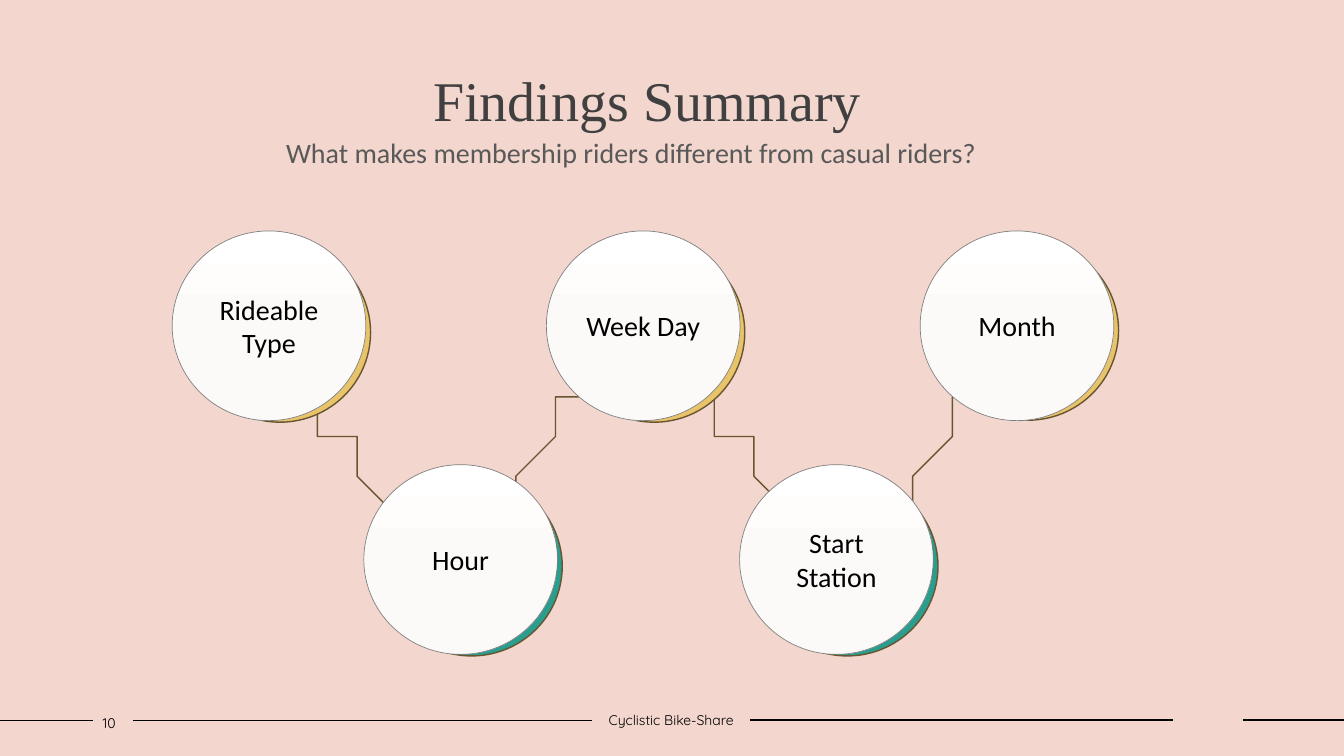
"""Build the findings summary slide: five linked circles under a title."""
from lxml import etree
from pptx import Presentation
from pptx.dml.color import RGBColor
from pptx.enum.shapes import MSO_CONNECTOR, MSO_SHAPE
from pptx.enum.text import MSO_ANCHOR, MSO_AUTO_SIZE, PP_ALIGN
from pptx.oxml.ns import qn
from pptx.util import Cm, Pt

OVAL = MSO_SHAPE.OVAL
STRAIGHT = MSO_CONNECTOR.STRAIGHT
TOP, MIDDLE = MSO_ANCHOR.TOP, MSO_ANCHOR.MIDDLE
NO_AUTOFIT = MSO_AUTO_SIZE.NONE
LEFT, CENTER = PP_ALIGN.LEFT, PP_ALIGN.CENTER

GOLD, TEAL, BROWN = "E9C369", "2A9D8F", "66552E"
CIRCLES = [
    ("Rideable Type", 4.34, 5.82, 0.3, GOLD),
    ("Hour", 9.17, 11.71, 0.3, TEAL),
    ("Week Day", 13.77, 5.82, 0.3, GOLD),
    ("Start Station", 18.64, 11.71, 0.3, TEAL),
    ("Month", 23.19, 5.82, 0.25, GOLD),
]
CURVE_START = (7.06, 8.84)
CURVES = [
    ((8.56, 11.48), (10.06, 14.12), (11.58, 14.02)),
    ((13.08, 13.89), (14.53, 8.2), (16.1, 8.18)),
    ((17.68, 8.18), (19.41, 13.92), (21.01, 13.92)),
    ((22.63, 13.92), (24.94, 9.14), (25.73, 8.18)),
]
FOOTER_LINES = [(0, 2.34, 18.16), (3.35, 14.91, 18.16),
                (18.9, 29.57, 18.14), (31.32, 33.87, 18.14)]
TEXTS = [
    ("What makes membership riders different from casual riders?",
     6.96, 3.28, 20.29, 1.12, 20, "Calibri", "595959"),
    ("10", 2.34, 17.88, 1.37, 0.69, 10, "Quicksand", "000000"),
    ("Cyclistic Bike-Share", 15.09, 17.81, 4.57, 0.69, 10, "Quicksand", "000000"),
]
STEPS = 24


def rgb(value):
    return RGBColor.from_string(value)


def write(tf, text, size, font, color, align, anchor):
    tf.word_wrap = True
    tf.auto_size = NO_AUTOFIT
    tf.vertical_anchor = anchor
    p = tf.paragraphs[0]
    p.alignment = align
    r = p.add_run()
    r.text = text
    r.font.size = Pt(size)
    r.font.name = font
    r.font.color.rgb = rgb(color)


prs = Presentation()
prs.slide_width, prs.slide_height = Cm(33.87), Cm(19.05)
s = prs.slides.add_slide(prs.slide_layouts[5])
s.background.fill.solid()
s.background.fill.fore_color.rgb = rgb("F3D6CD")

for x1, x2, y in FOOTER_LINES:
    line = s.shapes.add_connector(STRAIGHT, Cm(x1), Cm(y), Cm(x2), Cm(y))
    line.line.color.rgb = rgb("000000")
    line.line.width = Pt(1)
    etree.SubElement(line._element.spPr, qn("a:effectLst"))

points = []
start = CURVE_START
for c1, c2, end in CURVES:
    for step in range(1, STEPS + 1):
        t = step / STEPS
        u = 1 - t
        points.append(tuple(
            u**3 * a + 3 * u * u * t * b + 3 * u * t * t * c + t**3 * d
            for a, b, c, d in zip(start, c1, c2, end)))
    start = end
builder = s.shapes.build_freeform(*CURVE_START, scale=Cm(1))
builder.add_line_segments(points, close=False)
wave = builder.convert_to_shape()
wave.shadow.inherit = False
wave.fill.background()
wave.line.color.rgb = rgb(BROWN)
wave.line.width = Pt(1)

for _, x, y, drop, color in CIRCLES:
    sp = s.shapes.add_shape(OVAL, Cm(x + 0.43), Cm(y + drop), Cm(4.57), Cm(4.52))
    sp.shadow.inherit = False
    sp.fill.solid()
    sp.fill.fore_color.rgb = rgb(color)
    sp.line.color.rgb = rgb(BROWN)
    sp.line.width = Pt(1)

for label, x, y, _, _ in CIRCLES:
    sp = s.shapes.add_shape(OVAL, Cm(x), Cm(y), Cm(4.88), Cm(4.78))
    sp.shadow.inherit = False
    sp.fill.gradient()
    sp.fill.gradient_angle = 270
    light, dark = sp.fill.gradient_stops
    light.color.rgb, light.position = rgb("FFFFFF"), 0
    dark.color.rgb, dark.position = rgb("FCFAF9"), 0.5
    sp.line.color.rgb = rgb("808080")
    sp.line.width = Pt(0.5)
    tf = sp.text_frame
    tf.margin_left = tf.margin_right = Cm(0.2)
    write(tf, label, 20, "Calibri", "000000", CENTER, MIDDLE)

title = s.shapes.title
title.left, title.top, title.width, title.height = Cm(2.54), Cm(1.35), Cm(27.53), Cm(2.82)
title.text_frame.margin_top = Cm(0.29)
write(title.text_frame, "Findings Summary", 40, "Times New Roman", "404040", CENTER, TOP)

for text, x, y, w, h, size, font, color in TEXTS:
    box = s.shapes.add_textbox(Cm(x), Cm(y), Cm(w), Cm(h))
    write(box.text_frame, text, size, font, color, LEFT, TOP)

prs.save("out.pptx")
